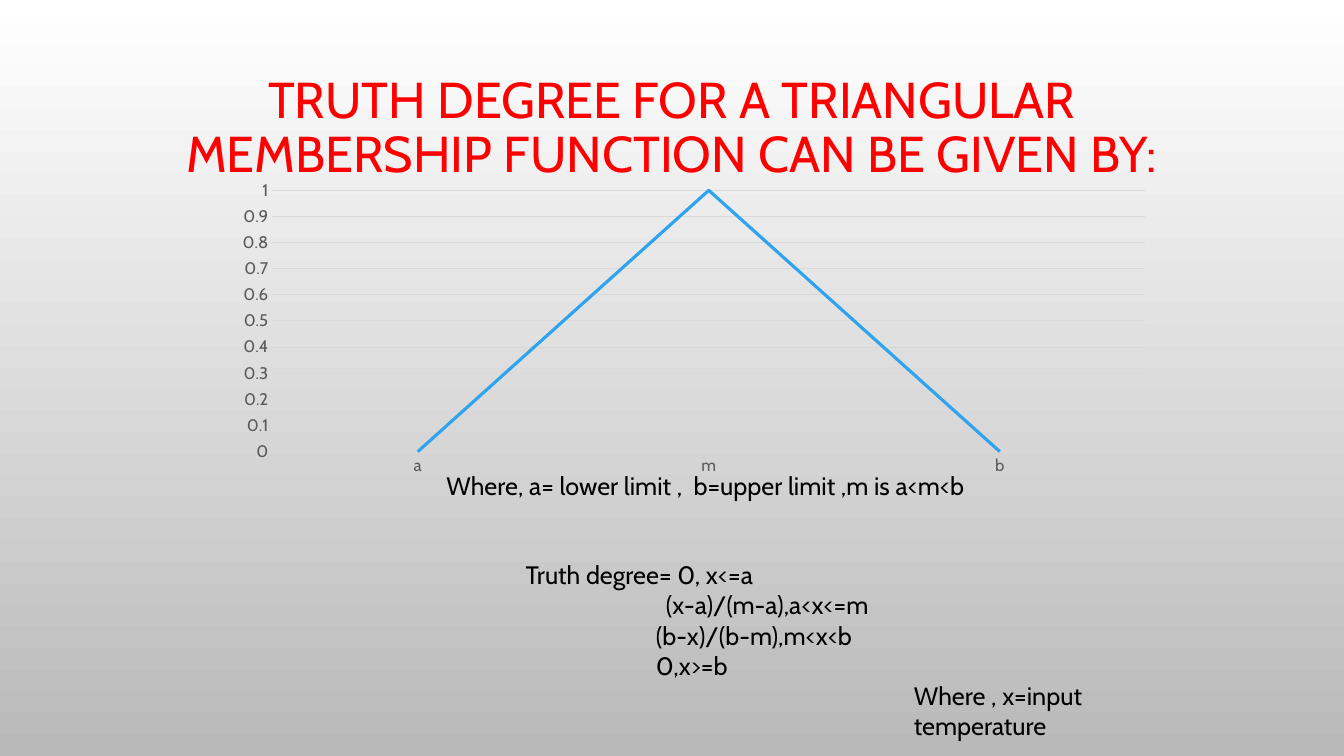
from dataclasses import dataclass

from pptx import Presentation
from pptx.chart.data import CategoryChartData
from pptx.dml.color import RGBColor
from pptx.enum.chart import XL_CHART_TYPE, XL_MARKER_STYLE, XL_TICK_MARK
from pptx.enum.text import PP_ALIGN
from pptx.util import Cm, Pt

LINE_CHART = XL_CHART_TYPE.LINE
NO_MARKER = XL_MARKER_STYLE.NONE
NO_TICK = XL_TICK_MARK.NONE
LEFT = PP_ALIGN.LEFT
CENTER = PP_ALIGN.CENTER


@dataclass(frozen=True)
class Theme:
    font: str = "Cabin"
    title: RGBColor = RGBColor(0xFF, 0x00, 0x00)
    body: RGBColor = RGBColor(0x00, 0x00, 0x00)
    axis: RGBColor = RGBColor(0x59, 0x59, 0x59)
    grid: RGBColor = RGBColor(0xD9, 0xD9, 0xD9)
    background: tuple = (RGBColor(0xFF, 0xFF, 0xFF), RGBColor(0xB9, 0xB9, 0xB9))
    series: tuple = (
        RGBColor(0x2F, 0xA3, 0xEE),
        RGBColor(0x4B, 0xCA, 0xAD),
        RGBColor(0x86, 0xC1, 0x57),
    )
    title_size: Pt = Pt(36)
    body_size: Pt = Pt(18)
    axis_size: Pt = Pt(12)
    chart_size: Pt = Pt(10)
    grid_width: Pt = Pt(0.75)
    series_width: Pt = Pt(2.25)


THEME = Theme()


def set_font(font, size, color):
    font.name = THEME.font
    font.size = size
    font.color.rgb = color


def set_line(line, color, width):
    line.color.rgb = color
    line.width = width


def paint_background(slide):
    fill = slide.background.fill
    fill.gradient()
    fill.gradient_angle = 270
    for stop, color in zip(fill.gradient_stops, THEME.background):
        stop.color.rgb = color


def add_text(slide, box, lines, size=THEME.body_size, color=THEME.body, align=LEFT):
    frame = slide.shapes.add_textbox(*map(Cm, box)).text_frame
    frame.word_wrap = True
    for number, (text, indent) in enumerate(lines):
        paragraph = frame.add_paragraph() if number else frame.paragraphs[0]
        paragraph.text = text
        paragraph.alignment = align
        set_font(paragraph.font, size, color)
        if indent:
            paragraph._p.get_or_add_pPr().set("marL", str(Cm(indent)))
    return frame


def add_title(slide, box, text):
    frame = add_text(slide, box, [(text, 0)], THEME.title_size, THEME.title, CENTER)
    frame.margin_top = Cm(0.16)
    frame.paragraphs[0].line_spacing = 0.9


def style_axis(axis):
    axis.major_tick_mark = NO_TICK
    axis.minor_tick_mark = NO_TICK
    set_font(axis.tick_labels.font, THEME.axis_size, THEME.axis)


def add_membership_chart(slide, box, categories, series_values):
    data = CategoryChartData()
    data.categories = categories
    for number, values in enumerate(series_values, 1):
        data.add_series(f"Series {number}", values)
    chart = slide.shapes.add_chart(LINE_CHART, *map(Cm, box), data).chart
    chart.has_legend = False
    chart.has_title = False
    set_font(chart.font, THEME.chart_size, THEME.body)

    limits, degrees = chart.category_axis, chart.value_axis
    for axis in (limits, degrees):
        style_axis(axis)
    set_line(limits.format.line, THEME.grid, THEME.grid_width)
    degrees.minimum_scale, degrees.maximum_scale = 0, 1
    degrees.major_unit = 0.1
    degrees.format.line.fill.background()
    degrees.has_major_gridlines = True
    set_line(degrees.major_gridlines.format.line, THEME.grid, THEME.grid_width)

    plot = chart.plots[0]
    plot.vary_by_categories = False
    for series, color in zip(plot.series, THEME.series):
        series.smooth = False
        series.marker.style = NO_MARKER
        set_line(series.format.line, color, THEME.series_width)


def main():
    presentation = Presentation()
    presentation.slide_width = Cm(33.87)
    presentation.slide_height = Cm(19.05)
    slide = presentation.slides.add_slide(presentation.slide_layouts[6])

    paint_background(slide)
    add_title(
        slide,
        (2.54, 1.73, 28.78, 4.45),
        "TRUTH DEGREE FOR A TRIANGULAR MEMBERSHIP FUNCTION CAN BE GIVEN BY:",
    )
    no_values = (None, None, None)
    add_membership_chart(
        slide,
        (5.64, 4.39, 23.7, 7.75),
        ("a", "m", "b"),
        ((0, 1, 0), no_values, no_values),
    )
    add_text(
        slide,
        (11, 11.73, 14.63, 1.02),
        [("Where, a= lower limit ,  b=upper limit ,m is a<m<b", 0)],
    )
    add_text(
        slide,
        (13, 13.97, 10.49, 3.33),
        [
            ("Truth degree= 0, x<=a", 0),
            ("(x-a)/(m-a),a<x<=m", 3.53),
            ("(b-x)/(b-m),m<x<b", 3.28),
            ("0,x>=b", 3.28),
        ],
    )
    add_text(
        slide,
        (22.78, 17.02, 8.15, 1.02),
        [("Where , x=input temperature", 0)],
    )
    presentation.save("out.pptx")


if __name__ == "__main__":
    main()
